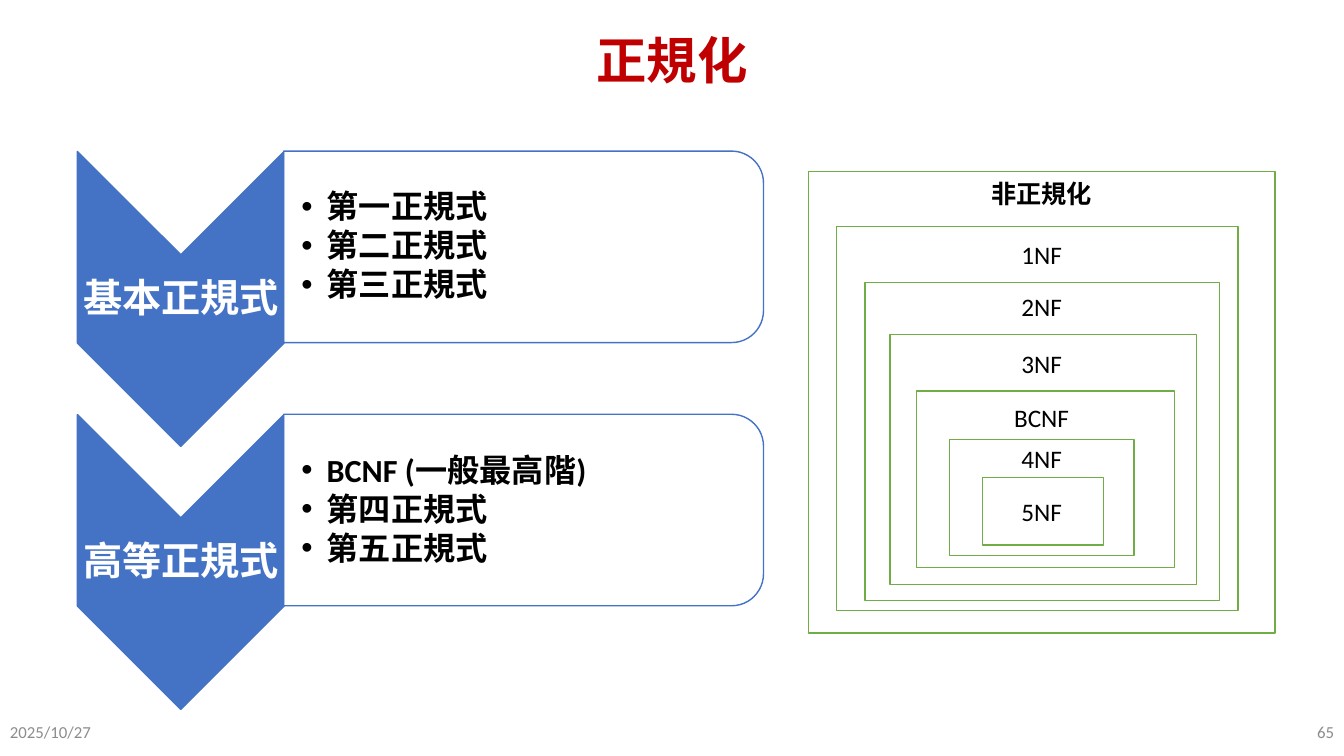
"""Build the normalization slide: two groups of normal forms and their nesting."""
from dataclasses import dataclass

from lxml import etree
from pptx import Presentation
from pptx.dml.color import RGBColor
from pptx.enum import shapes, text
from pptx.oxml import ns
from pptx.util import Pt


@dataclass(frozen=True)
class Theme:
    latin: str = "Calibri"
    cjk: str = "Noto Sans CJK SC"
    title: str = "C00000"
    step: str = "4472C4"
    nest: str = "70AD47"
    paper: str = "FFFFFF"
    ink: str = "000000"
    muted: str = "8C8C8C"
    title_size: int = 36
    step_size: int = 28
    list_size: int = 23
    label_size: int = 18
    footer_size: int = 12


THEME = Theme()
ALIGN = text.PP_ALIGN
GROUP_PITCH = 188
GROUPS = [
    ("基本正規式", ["第一正規式", "第二正規式", "第三正規式"]),
    ("高等正規式", ["BCNF (一般最高階)", "第四正規式", "第五正規式"]),
]
NEST_CENTER = 744
NEST = [
    ("非正規化", (577.5, 122.4, 333.4, 329.8), 123.8),
    ("1NF", (597.6, 162, 286.6, 274.3), 167),
    ("2NF", (617.8, 201.6, 253.4, 227.5), 204.5),
    ("3NF", (635.8, 239, 218.9, 178.6), 244.8),
    ("BCNF", (654.5, 279.4, 184.3, 126), 283.7),
    ("4NF", (678.2, 313.9, 131.8, 82.8), 313.2),
    ("5NF", (702, 341.3, 86.4, 48.2), 351),
]


def place(item, box):
    """Move an item to a left, top, width, height box."""
    item.left, item.top, item.width, item.height = map(Pt, box)


def add_run(paragraph, words, size, color, bold=False, face=THEME.latin):
    """Append one formatted run with a matching East Asian font."""
    run = paragraph.add_run()
    run.text = words
    font = run.font
    font.name, font.size, font.bold = face, Pt(size), bold
    font.color.rgb = RGBColor.from_string(color)
    east_asian = etree.Element(ns.qn("a:ea"), typeface=face)
    run.font._element.find(ns.qn("a:latin")).addnext(east_asian)


def set_frame(frame, insets, wrap=True):
    """Set insets, wrapping and middle anchoring of a text frame."""
    frame.margin_left, frame.margin_top, frame.margin_right, frame.margin_bottom = map(Pt, insets)
    frame.word_wrap = wrap
    frame.auto_size = text.MSO_AUTO_SIZE.NONE
    frame.vertical_anchor = text.MSO_ANCHOR.MIDDLE


def add_label(slide, box, words, size, color, align=ALIGN.CENTER, bold=False,
              face=THEME.latin, insets=(7.2, 3.6, 7.2, 3.6), wrap=True, spacing=1.0):
    """Add a one-line text box."""
    label = slide.shapes.add_textbox(*map(Pt, box))
    set_frame(label.text_frame, insets, wrap)
    line = label.text_frame.paragraphs[0]
    line.alignment, line.line_spacing = align, spacing
    add_run(line, words, size, color, bold, face)


def add_outline(slide, kind, box, fill, line, rotation=0):
    """Add a flat preset shape with a one-point line."""
    outline = slide.shapes.add_shape(kind, *map(Pt, box))
    outline.shadow.inherit = False
    outline.rotation = rotation
    outline.fill.solid()
    outline.fill.fore_color.rgb = RGBColor.from_string(fill)
    outline.line.color.rgb = RGBColor.from_string(line)
    outline.line.width = Pt(1)
    return outline


def set_title(slide, words):
    """Fill the title placeholder."""
    title = slide.shapes.title
    place(title, (66, 9.4, 828, 72))
    set_frame(title.text_frame, (7.2, 3.6, 7.2, 3.6))
    line = title.text_frame.paragraphs[0]
    line.alignment, line.line_spacing = ALIGN.CENTER, 0.9
    add_run(line, words, THEME.title_size, THEME.title, True)


def fill_list(body, box, entries):
    """Fill a body placeholder with a bulleted list."""
    place(body, box)
    frame = body.text_frame
    set_frame(frame, (13, 1.4, 1.4, 1.4))
    for index, entry in enumerate(entries):
        line = frame.add_paragraph() if index else frame.paragraphs[0]
        line.level, line.line_spacing = 1, 0.9
        line.space_before, line.space_after = Pt(0), Pt(3)
        properties = line._p.get_or_add_pPr()
        properties.set("marL", str(Pt(18)))
        properties.set("indent", str(-Pt(18)))
        etree.SubElement(properties, ns.qn("a:buChar"), char="•")
        add_run(line, entry, THEME.list_size, THEME.ink, True)


def add_group(slide, body, heading, entries, offset):
    """Add a downward chevron with its heading and list panel."""
    add_outline(slide, shapes.MSO_SHAPE.CHEVRON, (23.8, 139.7 + offset, 210.6, 147.6),
                THEME.step, THEME.step, 90)
    add_label(slide, (55.4, 182.2 + offset, 147.6, 63.4), heading, THEME.step_size,
              THEME.paper, bold=True, insets=(1.4,) * 4, spacing=0.9)
    panel = add_outline(slide, shapes.MSO_SHAPE.ROUND_2_SAME_RECTANGLE,
                        (305.6, 5 + offset, 136.8, 342.7), THEME.paper, THEME.step, 90)
    fill_color = panel.element.spPr.find(".//" + ns.qn("a:srgbClr"))
    etree.SubElement(fill_color, ns.qn("a:alpha"), val="90000")
    fill_list(body, (202.3, 115.2 + offset, 336.2, 123.1), entries)
    panel.element.addnext(body.element)


def add_nest(slide):
    """Add the nested normal-form frames, each with its label."""
    for level, (name, box, label_top) in enumerate(NEST):
        add_outline(slide, shapes.MSO_SHAPE.RECTANGLE, box, THEME.paper, THEME.nest)
    for level, (name, box, label_top) in enumerate(NEST):
        outermost = level == 0
        add_label(slide, (NEST_CENTER - 43.5, label_top, 87, 29), name, THEME.label_size,
                  THEME.ink, bold=outermost, face=THEME.cjk if outermost else THEME.latin)


def main():
    """Assemble and save the slide."""
    deck = Presentation()
    deck.slide_width, deck.slide_height = Pt(960), Pt(540)
    slide = deck.slides.add_slide(deck.slide_layouts.get_by_name("Two Content"))
    set_title(slide, "正規化")
    bodies = [slide.placeholders[1], slide.placeholders[2]]
    for index, (body, (heading, entries)) in enumerate(zip(bodies, GROUPS)):
        add_group(slide, body, heading, entries, index * GROUP_PITCH)
    for left, words, align in ((0, "2025/10/27", ALIGN.LEFT), (744, "65", ALIGN.RIGHT)):
        add_label(slide, (left, 508.3, 216, 28.8), words, THEME.footer_size, THEME.muted, align)
    add_nest(slide)
    deck.save("out.pptx")


if __name__ == "__main__":
    main()
